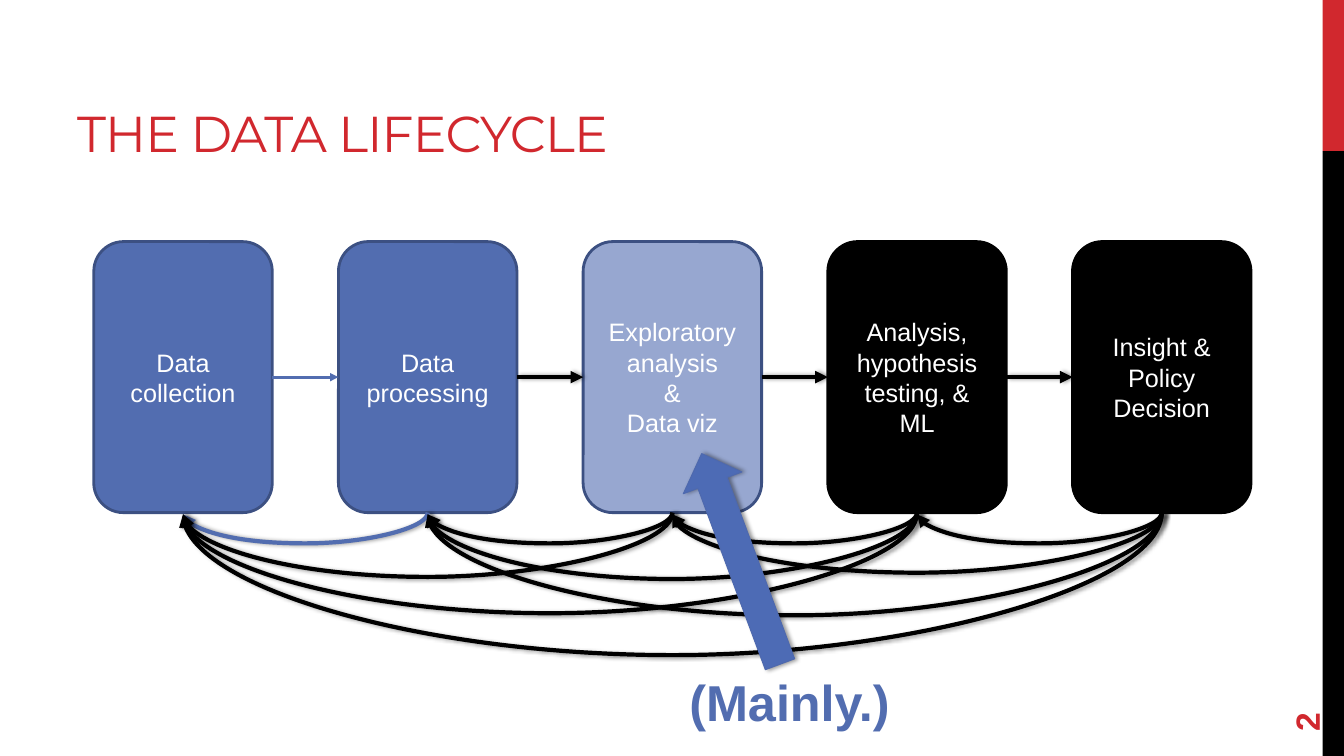
from lxml.etree import SubElement
from pptx import Presentation
from pptx.dml.color import RGBColor
from pptx.enum.shapes import MSO_CONNECTOR, MSO_SHAPE
from pptx.enum.text import MSO_ANCHOR, PP_ALIGN
from pptx.oxml.ns import qn
from pptx.util import Pt

RED = RGBColor(0xD1, 0x28, 0x2E)
BLACK = RGBColor(0, 0, 0)
WHITE = RGBColor(0xFF, 0xFF, 0xFF)
BLUE = RGBColor(0x52, 0x6D, 0xB0)
PALE = RGBColor(0x97, 0xA7, 0xD0)
NAVY = RGBColor(0x3C, 0x50, 0x82)
ARROW = RGBColor(0x4D, 0x6B, 0xB5)
EDGE = RGBColor(0x4E, 0x69, 0xAE)

# Paragraphs, fill, outline
STAGES = [
    (["Data collection"], BLUE, NAVY),
    (["Data processing"], BLUE, NAVY),
    (["Exploratory analysis", "&", "Data viz"], PALE, NAVY),
    (["Analysis, hypothesis testing, & ML"], BLACK, BLACK),
    (["Insight & Policy Decision"], BLACK, BLACK),
]
# Depths of the loops from each stage back to the nearest, next nearest, ...
DEPTHS = [[], [22], [22, 46], [22, 47.5, 72], [22, 43, 73.5, 102]]
RISE = 1.25


def paint(shape, fill, line=None, width=1):
    shape.shadow.inherit = False
    shape.fill.solid()
    shape.fill.fore_color.rgb = fill
    if line is None:
        shape.line.fill.background()
    else:
        shape.line.color.rgb = line
        shape.line.width = Pt(width)


def add_run(para, text, size, color, font="Arial", bold=False):
    run = para.add_run()
    run.text = text
    run.font.size = Pt(size)
    run.font.name = font
    run.font.bold = bold
    run.font.color.rgb = color
    return run


def add_label(slide, box, text, size, color, anchor, font="Arial", bold=False):
    shape = slide.shapes.add_textbox(*map(Pt, box))
    frame = shape.text_frame
    frame.word_wrap = True
    frame.vertical_anchor = anchor
    return shape, add_run(frame.paragraphs[0], text, size, color, font, bold)


def add_shade(shape):
    """Give the shape a soft shadow to its right."""
    props = shape._element.spPr
    effects = props.find(qn("a:effectLst"))
    if effects is None:
        effects = SubElement(props, qn("a:effectLst"))
    shade = SubElement(effects, qn("a:outerShdw"), blurRad=str(Pt(3.1)),
                       dist=str(Pt(1.8)), dir="0", rotWithShape="0")
    color = SubElement(shade, qn("a:srgbClr"), val=str(BLACK))
    SubElement(color, qn("a:alpha"), val="40000")


def add_line(slide, kind, ends, color, width, shade):
    line = slide.shapes.add_connector(kind, *map(Pt, ends))
    line.line.color.rgb = color
    line.line.width = Pt(width)
    SubElement(line.line._get_or_add_ln(), qn("a:tailEnd"), type="triangle")
    if shade:
        add_shade(line)
    else:
        SubElement(line._element.spPr, qn("a:effectLst"))
    return line


def add_stage(slide, box, texts, fill, edge):
    shape = slide.shapes.add_shape(MSO_SHAPE.ROUNDED_RECTANGLE, *map(Pt, box))
    paint(shape, fill, edge, 2)
    frame = shape.text_frame
    frame.word_wrap = True
    frame.vertical_anchor = MSO_ANCHOR.MIDDLE
    for i, text in enumerate(texts):
        para = frame.add_paragraph() if i else frame.paragraphs[0]
        para.alignment = PP_ALIGN.CENTER
        add_run(para, text, 18, WHITE)
    return shape


def add_loop(slide, start, end, depth, color):
    """Curve from the foot of one stage back to the foot of an earlier one."""
    line = add_line(slide, MSO_CONNECTOR.CURVE, (0, 0, 1, 1), color, 3, True)
    line.begin_connect(start, 2)
    line.end_connect(end, 2)
    span = start.left - end.left
    foot = start.top + start.height
    mid = end.left + end.width // 2 + span // 2
    # The frame is upright and turned a quarter, so the bend points down
    line.left, line.width = mid - Pt(RISE) // 2, Pt(RISE)
    line.top, line.height = foot + Pt(RISE) // 2 - span // 2, span
    frame = line._element.spPr.find(qn("a:xfrm"))
    for name, value in (("rot", "5400000"), ("flipH", "0"), ("flipV", "0")):
        frame.set(name, value)
    shape = line._element.spPr.find(qn("a:prstGeom"))
    bends = shape.find(qn("a:avLst"))
    SubElement(bends, qn("a:gd"), name="adj1",
               fmla=f"val {round(depth / RISE * 100000)}")


def add_cycle(slide, x, y, w, h):
    wide = 127.5
    step = (w - wide) / (len(STAGES) - 1)
    shapes = []
    for i, (texts, fill, edge) in enumerate(STAGES):
        left = x + i * step
        shapes.append(add_stage(slide, (left, y, wide, h), texts, fill, edge))
        if not i:
            continue
        color = BLUE if i == 1 else BLACK
        mid = y + h / 2
        add_line(slide, MSO_CONNECTOR.STRAIGHT, (left - step + wide, mid, left, mid),
                 color, 2 if i == 1 else 3, i > 1)
        for back, depth in enumerate(DEPTHS[i], 1):
            add_loop(slide, shapes[i], shapes[i - back], depth, color)


def add_note(slide, x, y, w, h):
    arrow = slide.shapes.add_shape(MSO_SHAPE.UP_ARROW, Pt(x + 21.6), Pt(y),
                                   Pt(44.6), Pt(160.5))
    arrow.rotation = 339.6
    paint(arrow, ARROW, EDGE, 0.75)
    add_shade(arrow)
    add_label(slide, (x, y + h - 50.4, w, 50.4), "(Mainly.)", 36, BLUE,
              MSO_ANCHOR.TOP, bold=True)


def add_side(slide, x, y, w, h):
    """Colour band at the edge, with the page number beside it."""
    for top, tall, color in ((y, h / 5, RED), (y + h / 5, h * 4 / 5, BLACK)):
        band = slide.shapes.add_shape(MSO_SHAPE.RECTANGLE, Pt(x), Pt(top), Pt(w), Pt(tall))
        paint(band, color)
    page, _ = add_label(slide, (x - 63.4, y + h - 81.4, 103.7, 38.2), "2", 24, RED,
                        MSO_ANCHOR.MIDDLE, bold=True)
    page.rotation = 270


def add_title(slide, x, y, w, h):
    _, run = add_label(slide, (x, y, w, h), "THE DATA LIFECYCLE", 36, RED,
                       MSO_ANCHOR.BOTTOM, "Montserrat")
    run.font._element.set("spc", "-60")


def main():
    deck = Presentation()
    deck.slide_width, deck.slide_height = Pt(960), Pt(540)
    slide = deck.slides.add_slide(deck.slide_layouts[6])
    add_side(slide, 944.8, 0, 15.2, 540)
    add_title(slide, 48, 12, 608, 108)
    add_cycle(slide, 67, 172.6, 826.6, 193.6)
    add_note(slide, 485.3, 319, 280.8, 207.4)
    deck.save("out.pptx")


if __name__ == "__main__":
    main()
